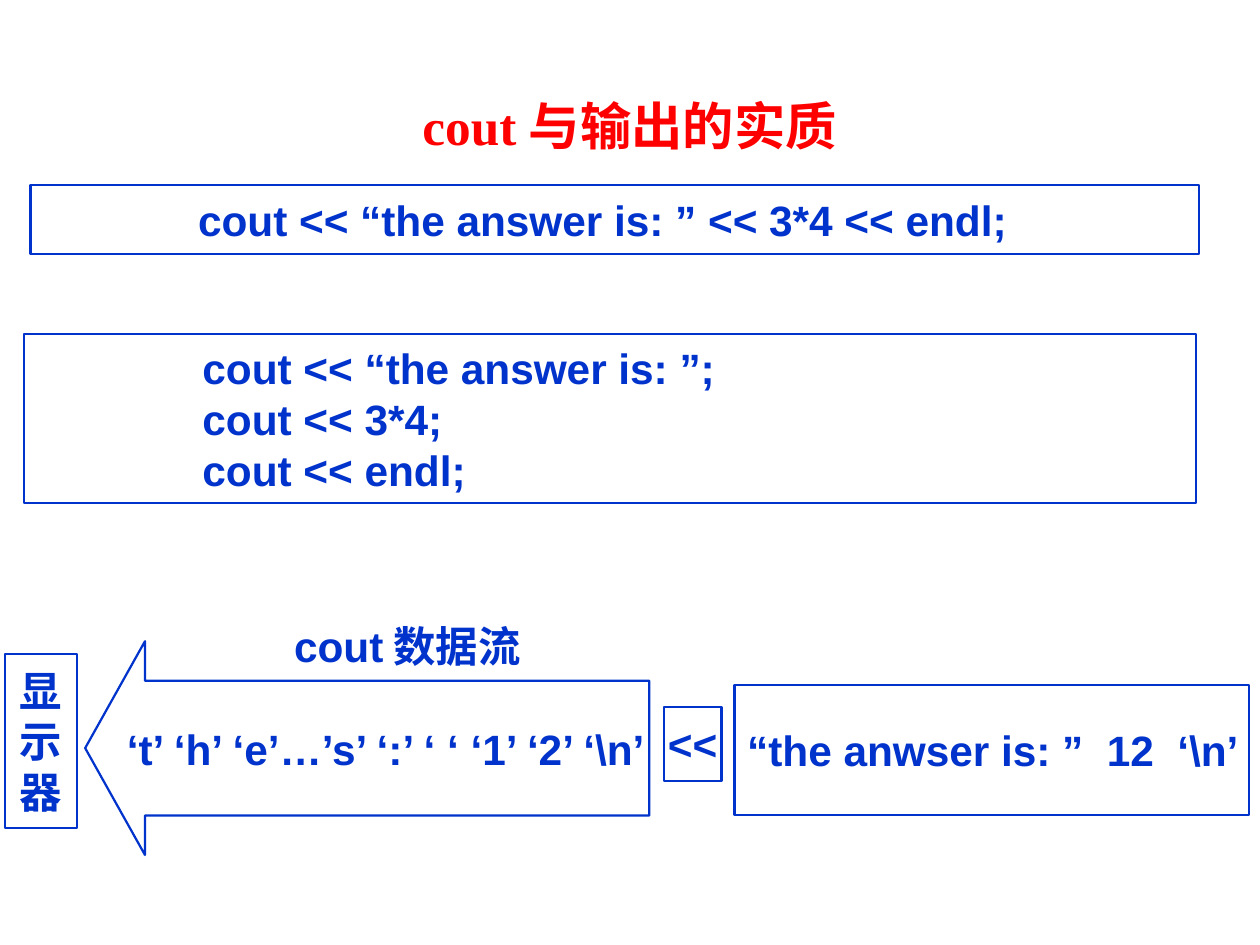
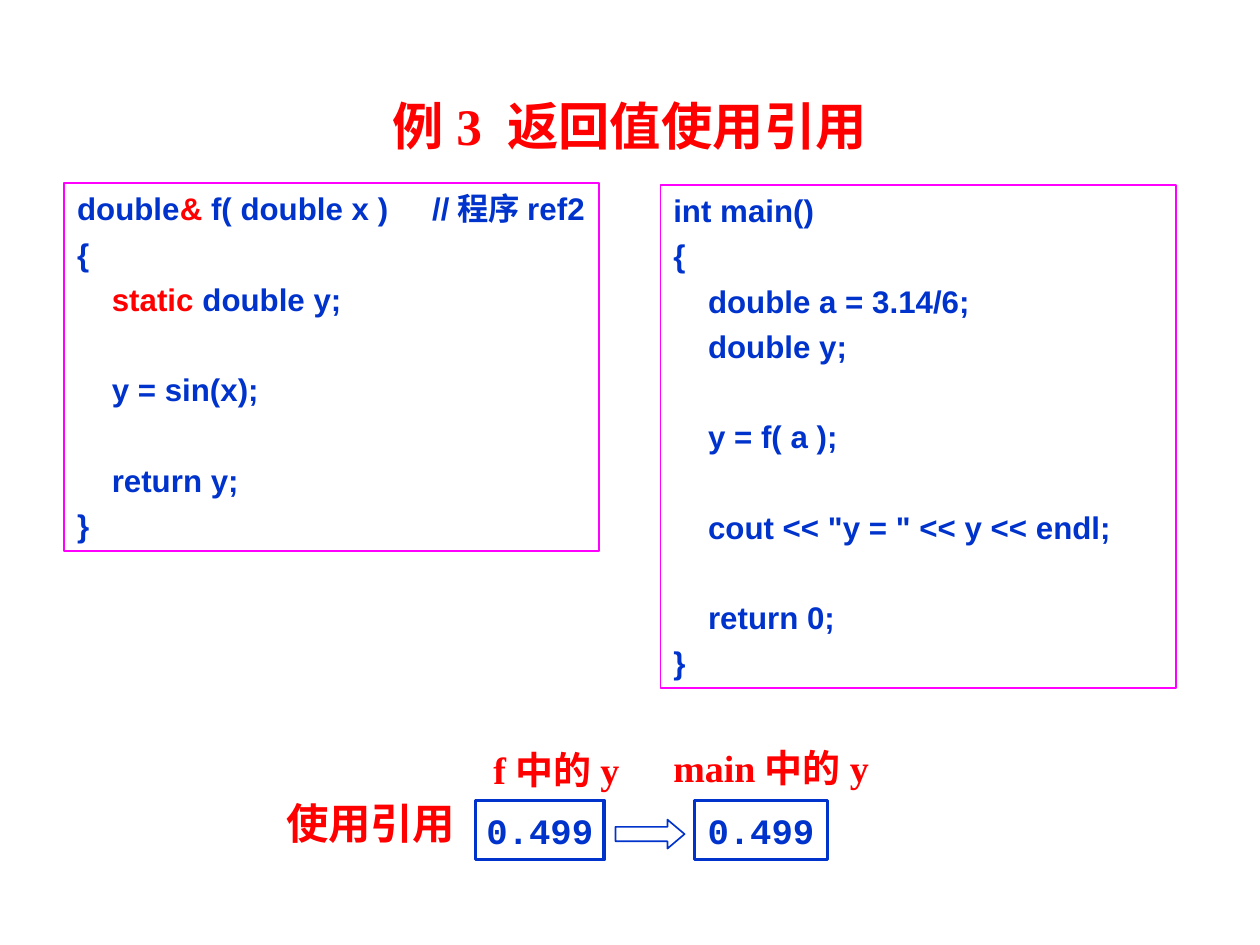
"""Build two slides on output streams and returning references."""
from pptx import Presentation
from pptx.dml.color import RGBColor
from pptx.enum.shapes import MSO_SHAPE
from pptx.enum.text import MSO_ANCHOR, MSO_AUTO_SIZE, PP_ALIGN
from pptx.oxml import parse_xml
from pptx.oxml.ns import nsdecls
from pptx.util import Inches, Pt

COLORS = {"blue": "0033CC", "red": "FF0000", "magenta": "FF00FF"}
RECT = MSO_SHAPE.RECTANGLE
CENTER, LEFT = PP_ALIGN.CENTER, PP_ALIGN.LEFT
LINE_GAP, BLANK_GAP = 3.5, 23.7


def rgb(name):
    return RGBColor.from_string(COLORS[name])


def add_box(s, at, lines=(), kind=RECT, line="blue", weight=1, size=19, font="Arial",
            color="blue", align=CENTER, anchor=MSO_ANCHOR.MIDDLE, wrap=False,
            left=0.08, right=0.08, gap=0, tab=None):
    at = [Inches(v) for v in at]
    if kind is None:
        sp = s.shapes.add_textbox(*at)
    else:
        sp = s.shapes.add_shape(kind, *at)
        sp.shadow.inherit = False
        sp.fill.background()
        sp.line.color.rgb = rgb(line)
        sp.line.width = Pt(weight)
    tf = sp.text_frame
    tf.auto_size = MSO_AUTO_SIZE.NONE
    tf.word_wrap = wrap
    tf.vertical_anchor = anchor
    tf.margin_left, tf.margin_right = Inches(left), Inches(right)
    tf.margin_top = tf.margin_bottom = Inches(0.04)
    before = 0
    p = None
    for text in lines:
        if not text:
            before = BLANK_GAP
            continue
        p = tf.add_paragraph() if p else tf.paragraphs[0]
        p.alignment = align
        p.space_before = Pt(before)
        before = gap
        if tab:
            p._p.get_or_add_pPr().append(parse_xml(
                f'<a:tabLst {nsdecls("a")}><a:tab pos="{Inches(tab)}" algn="l"/></a:tabLst>'))
        p.font.size, p.font.name, p.font.bold = Pt(size), font, True
        p.font.color.rgb = rgb(color)
        for part, tint in [(text, color)] if isinstance(text, str) else text:
            r = p.add_run()
            r.text = part
            r.font.color.rgb = rgb(tint)
    return sp


prs = Presentation()
prs.slide_width, prs.slide_height = Inches(7.84), Inches(5.88)

slides = []
for title in ("cout与输出的实质", "例3 返回值使用引用"):
    s = prs.slides.add_slide(prs.slide_layouts[5])
    sp = s.shapes.title
    sp.left, sp.top, sp.width, sp.height = [Inches(v) for v in (0.26, 0.55, 7.32, 0.46)]
    tf = sp.text_frame
    tf.text = title
    tf.auto_size = MSO_AUTO_SIZE.NONE
    tf.vertical_anchor = MSO_ANCHOR.MIDDLE
    tf.margin_left = tf.margin_right = Inches(0.08)
    tf.margin_top = tf.margin_bottom = Inches(0.04)
    p = tf.paragraphs[0]
    p.alignment = CENTER
    p.font.size, p.font.name, p.font.bold = Pt(23), "Times New Roman", True
    p.font.color.rgb = rgb("red")
    slides.append(s)
stream, reference = slides

add_box(stream, (0.19, 1.15, 7.27, 0.43),
        ["cout << “the answer is: ” << 3*4 << endl;"], right=0.23)
add_box(stream, (0.15, 2.08, 7.29, 1.05),
        ["cout << “the answer is: ”;", "cout << 3*4;", "cout << endl;"],
        align=LEFT, wrap=True, left=1.11)
sp = add_box(stream, (0.53, 3.99, 3.51, 1.33), ["‘t’ ‘h’ ‘e’…’s’ ‘:’ ‘ ‘ ‘1’ ‘2’ ‘\\n’"],
             kind=MSO_SHAPE.LEFT_ARROW)
sp.adjustments[0], sp.adjustments[1] = 0.63, 0.28
add_box(stream, (0.03, 4.07, 0.45, 1.08), ["显", "示", "器"])
add_box(stream, (1.83, 3.8, 1.41, 0.44), ["cout数据流"], kind=None)
add_box(stream, (4.13, 4.4, 0.36, 0.46), ["<<"])
add_box(stream, (4.57, 4.26, 3.2, 0.81), ["“the anwser is: ”  12  ‘\\n’"], align=LEFT)

function_code = [
    [("double", "blue"), ("& ", "red"), ("f( double x )\t//程序ref2", "blue")],
    "{",
    [("    ", "blue"), ("static", "red"), (" double y;", "blue")],
    "",
    "    y = sin(x);",
    "",
    "    return y;",
    "}",
]
main_code = [
    "int main()",
    "{",
    "    double a = 3.14/6;",
    "    double y;",
    "",
    "    y = f( a );",
    "",
    '    cout << "y = " << y << endl;',
    "",
    "    return 0;",
    "}",
]
for at, code, tab in (((0.4, 1.14, 3.33, 2.29), function_code, 2.21),
                      ((4.11, 1.15, 3.21, 3.13), main_code, None)):
    add_box(reference, at, code, line="magenta", weight=0.75, size=14, align=LEFT,
            anchor=MSO_ANCHOR.TOP, wrap=True, gap=LINE_GAP, tab=tab)

for x, width in ((2.96, 0.8), (4.32, 0.83)):
    add_box(reference, (x, 4.98, width, 0.37), ["0.499"], weight=1.5, size=16,
            font="Courier New")
sp = add_box(reference, (3.83, 5.1, 0.43, 0.18), kind=MSO_SHAPE.RIGHT_ARROW, weight=0.75)
sp.adjustments[0], sp.adjustments[1] = 0.5, 0.59
for at, label, size in (((1.7, 4.92, 1.11, 0.39), "使用引用", 19),
                        ((2.99, 4.65, 0.8, 0.27), "f中的y", 17),
                        ((4.11, 4.61, 1.23, 0.33), "main中的y", 17)):
    add_box(reference, at, [label], kind=None, size=size, font="Times New Roman",
            color="red", align=LEFT)

prs.save("out.pptx")
